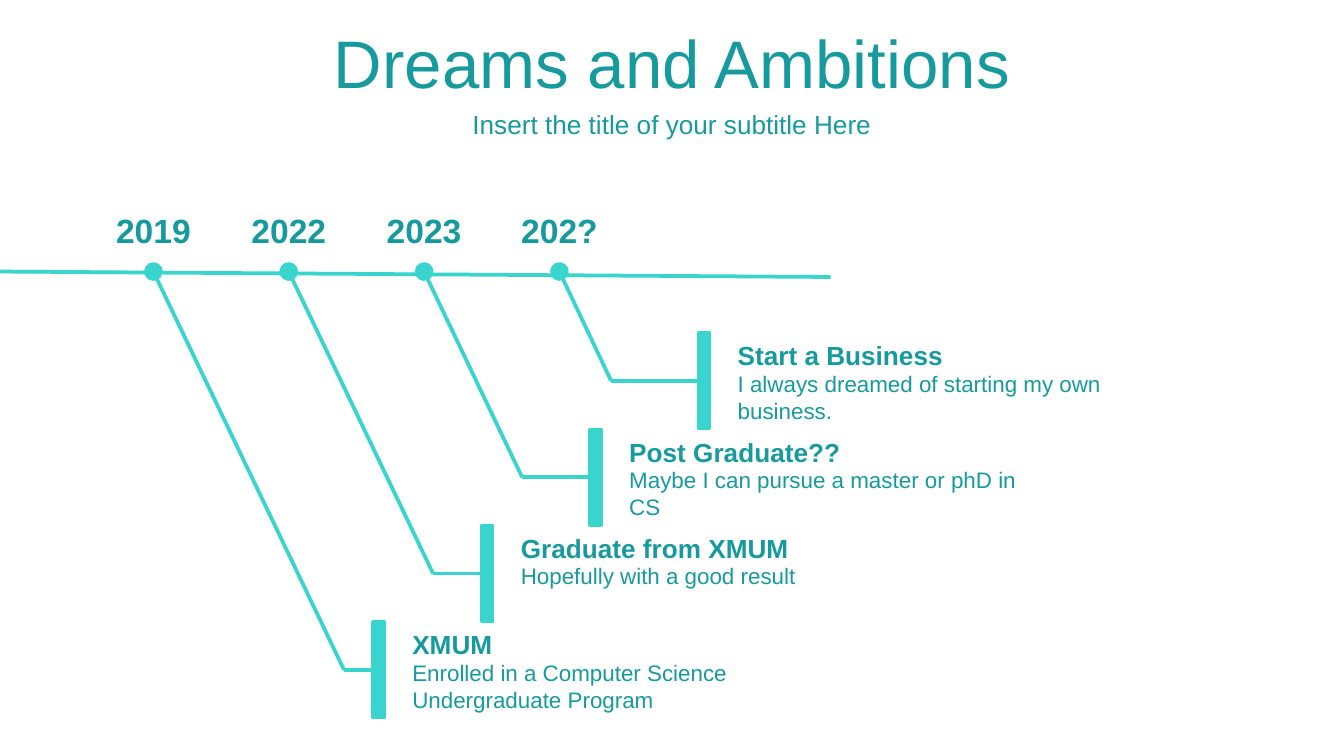
from lxml.etree import SubElement
from pptx import Presentation
from pptx.dml.color import RGBColor
from pptx.enum.shapes import MSO_CONNECTOR as Link, MSO_SHAPE as Preset
from pptx.enum.text import MSO_ANCHOR as Anchor, MSO_AUTO_SIZE as Fit, PP_ALIGN as Align
from pptx.oxml.ns import qn
from pptx.util import Pt

INK = "179A9D"
ACCENT = "38D4CD"
PAGE_WIDTH, PAGE_HEIGHT = 720, 405

# Year, heading, description
MILESTONES = [
    ("2019", "XMUM", "Enrolled in a Computer Science Undergraduate Program"),
    ("2022", "Graduate from XMUM", "Hopefully with a good result"),
    ("2023", "Post Graduate??", "Maybe I can pursue a master or phD in CS"),
    ("202?", "Start a Business", "I always dreamed of starting my own business."),
]


def colour(hex_string):
    return RGBColor.from_string(hex_string)


def write(shape, text, size, bold=False, align=Align.LEFT, anchor=Anchor.TOP):
    frame = shape.text_frame
    frame.word_wrap = True
    frame.auto_size = Fit.NONE
    frame.vertical_anchor = anchor
    para = frame.paragraphs[0]
    para.alignment = align
    span = para.add_run()
    span.text = text
    span.font.name = "Arial"
    span.font.size = Pt(size)
    span.font.bold = bold
    span.font.color.rgb = colour(INK)


def add_text(page, left, top, width, height, text, size, **style):
    box = page.shapes.add_textbox(Pt(left), Pt(top), Pt(width), Pt(height))
    write(box, text, size, **style)


def add_line(page, x1, y1, x2, y2, dot=False):
    """Draw a straight line, with a round dot at its start if asked."""
    line = page.shapes.add_connector(Link.STRAIGHT, Pt(x1), Pt(y1), Pt(x2), Pt(y2))
    line.line.color.rgb = colour(ACCENT)
    line.line.width = Pt(2)
    properties = line._element.spPr
    if dot:
        SubElement(properties.find(qn("a:ln")), qn("a:headEnd"),
                   type="oval", w="lg", len="lg")
    SubElement(properties, qn("a:effectLst"))
    return line


def add_header(page, left, top, width):
    title, subtitle = page.shapes.title, page.placeholders[1]
    parts = [(title, 0, 45.4, "Dreams and Ambitions", 36),
             (subtitle, 45.4, 22.3, "Insert the title of your subtitle Here", 14)]
    for holder, offset, height, text, size in parts:
        holder.left, holder.top = Pt(left), Pt(top + offset)
        holder.width, holder.height = Pt(width), Pt(height)
        write(holder, text, size, align=Align.CENTER, anchor=Anchor.MIDDLE)


def add_card(page, left, top, height, heading, description):
    """Place a bar with its heading and description; return the bar."""
    bar = page.shapes.add_shape(Preset.RECTANGLE, Pt(left), Pt(top), Pt(5.8), Pt(height))
    bar.shadow.inherit = False
    bar.fill.solid()
    bar.fill.fore_color.rgb = colour(ACCENT)
    bar.line.color.rgb = colour(ACCENT)
    bar.line.width = Pt(2)
    text_left = left + 13.8
    add_text(page, text_left, top, 226.8, 24.2, heading, 14, bold=True)
    add_text(page, text_left, top + 16.2, 226.8, 36, description, 12)
    return bar


def add_timeline(page, left, top, width):
    axis = top + 36.8
    bar_height = 51.1
    add_line(page, left, axis, left + width, axis + 2.9)
    for index, (year, heading, description) in enumerate(MILESTONES):
        dot_x = left + 82.2 + 72.5 * index
        bend_x = left + 184.3 + 47.7 * index
        bar_x = left + 200 + 58.1 * index
        bar_y = top + 224.6 - 51.6 * index
        middle = bar_y + bar_height / 2
        add_text(page, dot_x - 32, top, 64, 28.8, year, 18, bold=True,
                 align=Align.CENTER, anchor=Anchor.MIDDLE)
        bar = add_card(page, bar_x, bar_y, bar_height, heading, description)
        add_line(page, dot_x, axis, bend_x, middle, dot=True)
        branch = add_line(page, bend_x, middle, bar_x, middle)
        branch.end_connect(bar, 1)


def main():
    deck = Presentation()
    deck.slide_width, deck.slide_height = Pt(PAGE_WIDTH), Pt(PAGE_HEIGHT)
    page = deck.slides.add_slide(deck.slide_layouts[0])
    add_header(page, 0, 10.1, PAGE_WIDTH)
    add_timeline(page, 0, 108.7, 445)
    deck.save("out.pptx")


if __name__ == "__main__":
    main()
